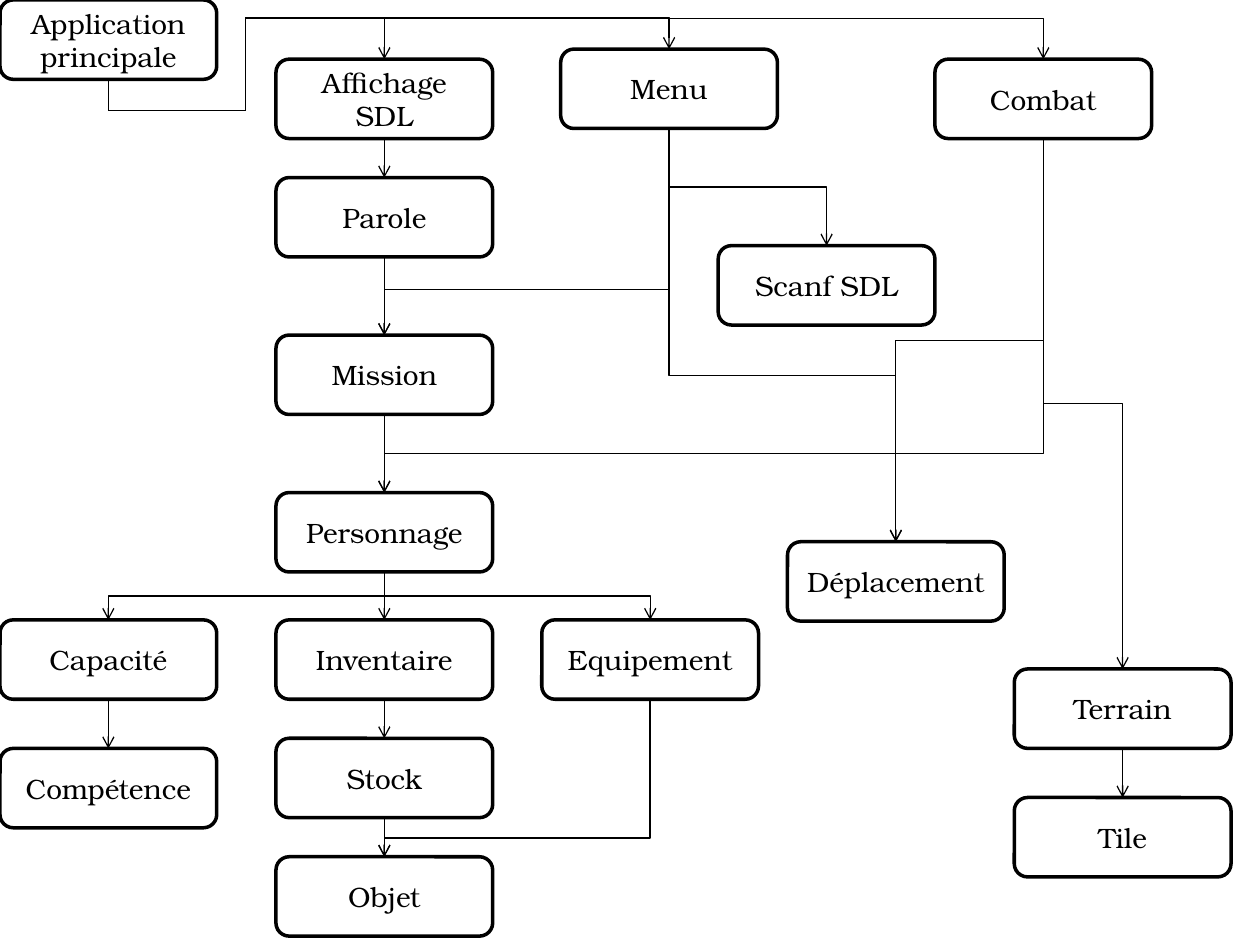
from lxml import etree
from pptx import Presentation
from pptx.dml.color import RGBColor
from pptx.enum.shapes import MSO_CONNECTOR, MSO_SHAPE
from pptx.enum.text import MSO_ANCHOR, PP_ALIGN
from pptx.oxml.ns import qn
from pptx.util import Inches, Pt

ELBOW = MSO_CONNECTOR.ELBOW
ROUNDED = MSO_SHAPE.ROUNDED_RECTANGLE
MIDDLE = MSO_ANCHOR.MIDDLE
CENTER = PP_ALIGN.CENTER

FONT = "TeX Gyre Bonum"
BLACK, WHITE = "000000", "FFFFFF"
BOX_WIDTH, BOX_HEIGHT = 1.72, 0.63
DROP_Y, RISER_X = 0.88, 1.95

MODULES = {
    "Affichage SDL": (2.19, 0.47),
    "Déplacement": (6.25, 4.3),
    "Application principale": (0, 0),
    "Menu": (4.45, 0.39),
    "Mission": (2.19, 2.66),
    "Personnage": (2.19, 3.91),
    "Parole": (2.19, 1.41),
    "Objet": (2.19, 6.8),
    "Scanf SDL": (5.7, 1.95),
    "Stock": (2.19, 5.86),
    "Compétence": (0, 5.94),
    "Combat": (7.42, 0.47),
    "Capacité": (0, 4.92),
    "Equipement": (4.3, 4.92),
    "Inventaire": (2.19, 4.92),
    "Terrain": (8.05, 5.31),
    "Tile": (8.05, 6.33),
}

MAIN_LINKS = [("Affichage SDL", 0.14), ("Combat", 0.15), ("Menu", 0.14)]

HALFWAY_LINKS = [
    ("Affichage SDL", "Parole"),
    ("Parole", "Mission"),
    ("Mission", "Personnage"),
    ("Personnage", "Inventaire"),
    ("Personnage", "Capacité"),
    ("Personnage", "Equipement"),
    ("Inventaire", "Stock"),
    ("Stock", "Objet"),
    ("Terrain", "Tile"),
    ("Capacité", "Compétence"),
    ("Menu", "Scanf SDL"),
    ("Combat", "Terrain"),
    ("Combat", "Déplacement"),
]

LOW_BEND_LINKS = [
    ("Equipement", "Objet", 6.65),
    ("Menu", "Mission", 2.3),
    ("Combat", "Personnage", 3.6),
]


def color(value):
    """Return the colour for a hex string."""
    return RGBColor.from_string(value)


def top_of(name):
    """Return the middle of a module's top edge."""
    left, top = MODULES[name]
    return left + BOX_WIDTH / 2, top


def bottom_of(name):
    """Return the middle of a module's bottom edge."""
    x, top = top_of(name)
    return x, top + BOX_HEIGHT


def add_module(slide, name):
    """Add the rounded box of one module."""
    left, top = MODULES[name]
    shape = slide.shapes.add_shape(
        ROUNDED, Inches(left), Inches(top), Inches(BOX_WIDTH), Inches(BOX_HEIGHT)
    )
    shape.shadow.inherit = False
    shape.fill.solid()
    shape.fill.fore_color.rgb = color(WHITE)
    shape.line.color.rgb = color(BLACK)
    shape.line.width = Pt(2)
    frame = shape.text_frame
    frame.word_wrap = True
    frame.vertical_anchor = MIDDLE
    paragraph = frame.paragraphs[0]
    paragraph.text = name
    paragraph.alignment = CENTER
    paragraph.font.name = FONT
    paragraph.font.size = Pt(16)
    paragraph.font.color.rgb = color(BLACK)


def add_arrow(slide, start, end, bends):
    """Add an elbow arrow that leaves and arrives vertically."""
    (x1, y1), (x2, y2) = start, end
    center_x, center_y = (x1 + x2) / 2, (y1 + y2) / 2
    turn = -1 if x2 > x1 and y2 > y1 else 1
    half_width, half_height = turn * (y2 - y1) / 2, turn * (x1 - x2) / 2
    connector = slide.shapes.add_connector(
        ELBOW,
        Inches(center_x - half_width),
        Inches(center_y - half_height),
        Inches(center_x + half_width),
        Inches(center_y + half_height),
    )
    connector.line.color.rgb = color(BLACK)
    connector.line.width = Pt(0.75)
    properties = connector._element.spPr
    properties.find(qn("a:xfrm")).set("rot", str(turn * 90 % 360 * 60000))
    geometry = properties.find(qn("a:prstGeom"))
    geometry.set("prst", f"bentConnector{len(bends) + 2}")
    guides = geometry.find(qn("a:avLst"))
    for number, bend in enumerate(bends, 1):
        guide = etree.SubElement(guides, qn("a:gd"))
        guide.set("name", f"adj{number}")
        guide.set("fmla", f"val {round(bend * 100000)}")
    etree.SubElement(properties.find(qn("a:ln")), qn("a:tailEnd")).set("type", "arrow")
    etree.SubElement(properties, qn("a:effectLst"))


def add_down_arrow(slide, start, end, bend_y=None):
    """Add an arrow to a lower module, bent halfway or at a given height."""
    height = end[1] - start[1]
    bend = 0.5 if bend_y is None else (bend_y - start[1]) / height
    add_arrow(slide, start, end, [bend])


def add_main_arrow(slide, target, crest_y):
    """Add an arrow that climbs from the main application over to a module."""
    start, end = bottom_of("Application principale"), top_of(target)
    width, height = end[0] - start[0], start[1] - end[1]
    bends = [
        (start[1] - DROP_Y) / height,
        (RISER_X - start[0]) / width,
        (start[1] - crest_y) / height,
    ]
    add_arrow(slide, start, end, bends)


def main():
    """Build the module diagram and save it."""
    presentation = Presentation()
    presentation.slide_width = Inches(10)
    presentation.slide_height = Inches(7.5)
    slide = presentation.slides.add_slide(presentation.slide_layouts[6])
    for name in MODULES:
        add_module(slide, name)
    for target, crest_y in MAIN_LINKS:
        add_main_arrow(slide, target, crest_y)
    for source, target in HALFWAY_LINKS:
        add_down_arrow(slide, bottom_of(source), top_of(target))
    for source, target, bend_y in LOW_BEND_LINKS:
        add_down_arrow(slide, bottom_of(source), top_of(target), bend_y)
    menu_branch = (bottom_of("Menu")[0], 1.66)
    add_down_arrow(slide, menu_branch, top_of("Déplacement"))
    presentation.save("out.pptx")


if __name__ == "__main__":
    main()
